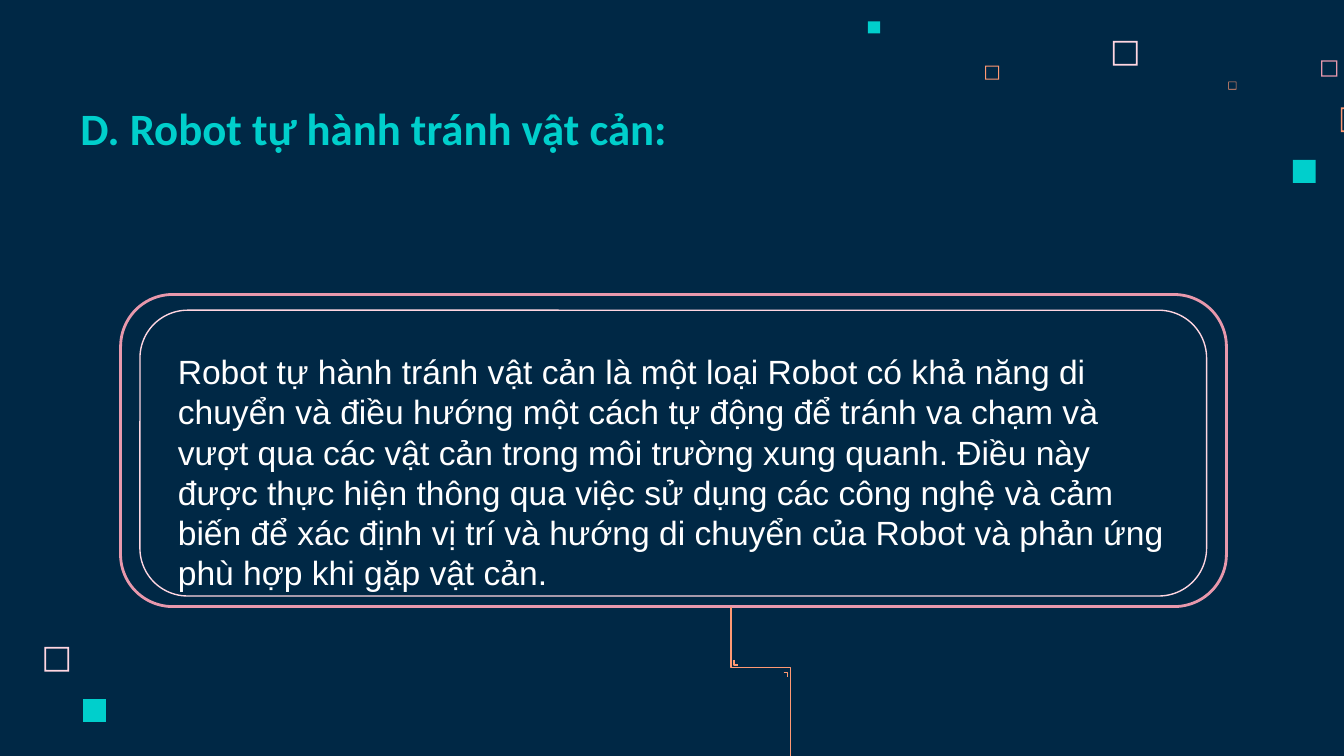
from lxml import etree
from pptx import Presentation
from pptx.dml.color import RGBColor
from pptx.enum.shapes import MSO_SHAPE as SHAPE
from pptx.enum.text import MSO_ANCHOR as ANCHOR, MSO_AUTO_SIZE as AUTO, PP_ALIGN as ALIGN
from pptx.util import Pt

NAVY, TEAL, ORANGE = "002845", "00CFCC", "FF9973"
ROSE, BLUSH, WHITE = "E898AC", "FFD6E1", "FFFFFF"

# Decorative squares: left, top, side, colour
HOLLOW_SQUARES = [
    (596.2, 21.9, 13.2, BLUSH),
    (707.8, 32.4, 8.6, ROSE),
    (658.1, 43.7, 4.3, ORANGE),
    (718.3, 57.6, 13.2, ORANGE),
    (527.8, 35.2, 7.4, ORANGE),
    (23.8, 346.6, 13.2, BLUSH),
]
SOLID_SQUARES = [
    (692.6, 85.7, 12.3, TEAL),
    (465, 11.4, 6.5, TEAL),
    (44.5, 374.5, 12.3, TEAL),
]

# Stepped line below the panel, with a small mark in each bend
CIRCUIT_LINES = [
    [(391.6, 325.4), (391.6, 357.8), (423.5, 357.8), (423.5, 427)],
    [(419.8, 360.3), (421.9, 360.3), (421.9, 362.9)],
    [(393.3, 353.5), (393.3, 356.2), (395.3, 356.2)],
]

TITLE = "D. Robot tự hành tránh vật cản:"
BODY = (
    "Robot tự hành tránh vật cản là một loại Robot có khả năng di chuyển và "
    "điều hướng một cách tự động để tránh va chạm và vượt qua các vật cản "
    "trong môi trường xung quanh. Điều này được thực hiện thông qua việc sử "
    "dụng các công nghệ và cảm biến để xác định vị trí và hướng di chuyển của "
    "Robot và phản ứng phù hợp khi gặp vật cản."
)


def rgb(color):
    return RGBColor.from_string(color)


def paint(sp, fill=None, line=None, width=0.75):
    sp.shadow.inherit = False
    if fill:
        sp.fill.solid()
        sp.fill.fore_color.rgb = rgb(fill)
    else:
        sp.fill.background()
    if line:
        sp.line.color.rgb = rgb(line)
        sp.line.width = Pt(width)
    else:
        sp.line.fill.background()


def add_square(s, x, y, side, color, hollow=False):
    kind = SHAPE.FRAME if hollow else SHAPE.RECTANGLE
    sp = s.shapes.add_shape(kind, Pt(x), Pt(y), Pt(side), Pt(side))
    if hollow:
        sp.adjustments[0] = 0.07
    paint(sp, fill=color)


def add_panel(s, x, y, w, h, color, width):
    sp = s.shapes.add_shape(SHAPE.ROUNDED_RECTANGLE, Pt(x), Pt(y), Pt(w), Pt(h))
    sp.adjustments[0] = 0.167
    paint(sp, line=color, width=width)


def add_path(s, points, color):
    start, *rest = [(Pt(x), Pt(y)) for x, y in points]
    builder = s.shapes.build_freeform(*start)
    builder.add_line_segments(rest, close=False)
    paint(builder.convert_to_shape(), line=color)


def add_text(s, x, y, w, h, text, font, size, color, bold=False,
             anchor=ANCHOR.TOP, inset=3.6, auto=AUTO.NONE):
    tf = s.shapes.add_textbox(Pt(x), Pt(y), Pt(w), Pt(h)).text_frame
    tf.word_wrap = True
    tf.auto_size = auto
    tf.vertical_anchor = anchor
    tf.margin_left = tf.margin_right = Pt(7.2)
    tf.margin_top = tf.margin_bottom = Pt(inset)
    p = tf.paragraphs[0]
    p.alignment = ALIGN.LEFT
    r = p.add_run()
    r.text = text
    r.font.name, r.font.size, r.font.bold = font, Pt(size), bold
    r.font.color.rgb = rgb(color)


def main():
    prs = Presentation()
    prs.slide_width, prs.slide_height = Pt(720), Pt(405)
    s = prs.slides.add_slide(prs.slide_layouts[6])
    s.background.fill.solid()
    s.background.fill.fore_color.rgb = rgb(NAVY)

    # Scattered squares
    for square in HOLLOW_SQUARES:
        add_square(s, *square, hollow=True)
    for square in SOLID_SQUARES:
        add_square(s, *square)

    # Double-framed panel
    add_panel(s, 64.6, 157.8, 592.4, 167.2, ROSE, 1.5)
    add_panel(s, 75, 166.2, 571.4, 153.1, BLUSH, 0.75)

    # Circuit line
    for points in CIRCUIT_LINES:
        add_path(s, points, ORANGE)

    # Text
    add_text(s, 88.2, 184.4, 544.3, 116.6, BODY, "Arial", 18, WHITE, auto=AUTO.SHAPE_TO_FIT_TEXT)
    add_text(s, 36, 45.4, 437.8, 46.1, TITLE, "Calibri", 24, TEAL, bold=True,
             anchor=ANCHOR.MIDDLE, inset=7.2)

    prs.save("out.pptx")


if __name__ == "__main__":
    main()
